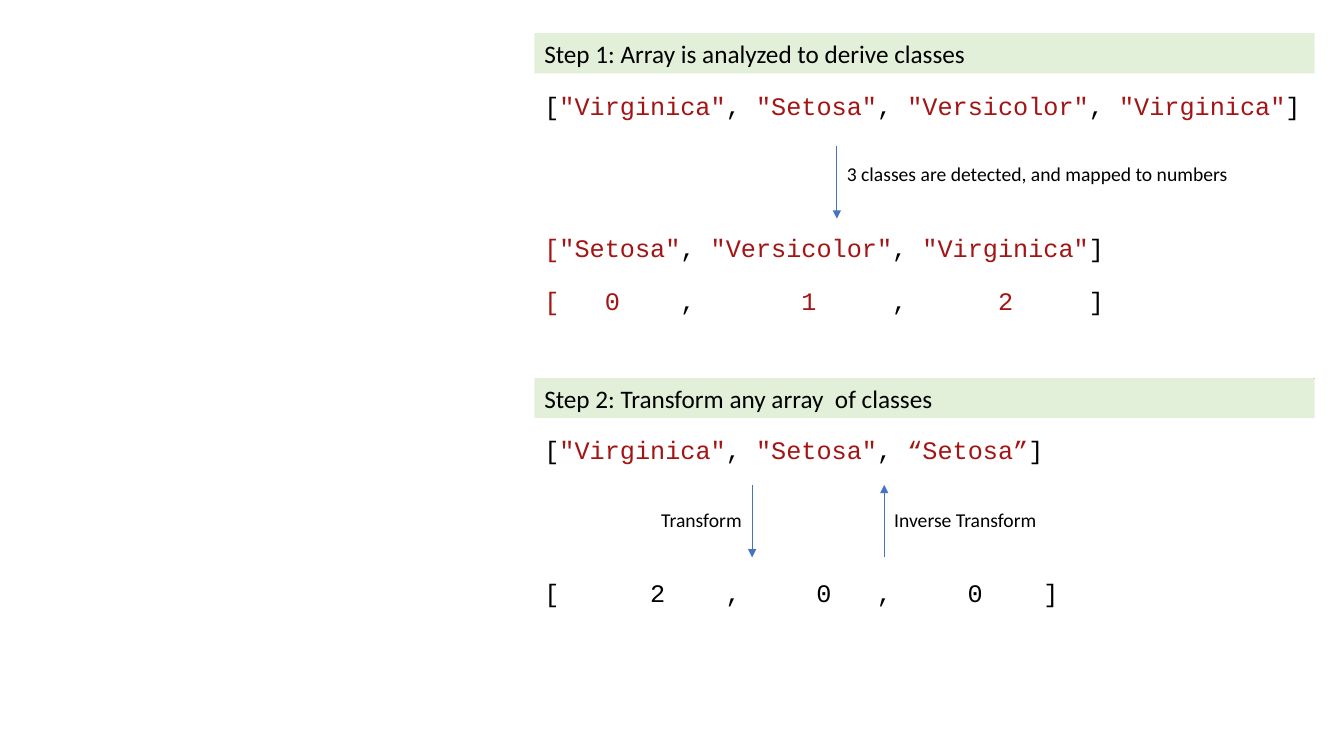
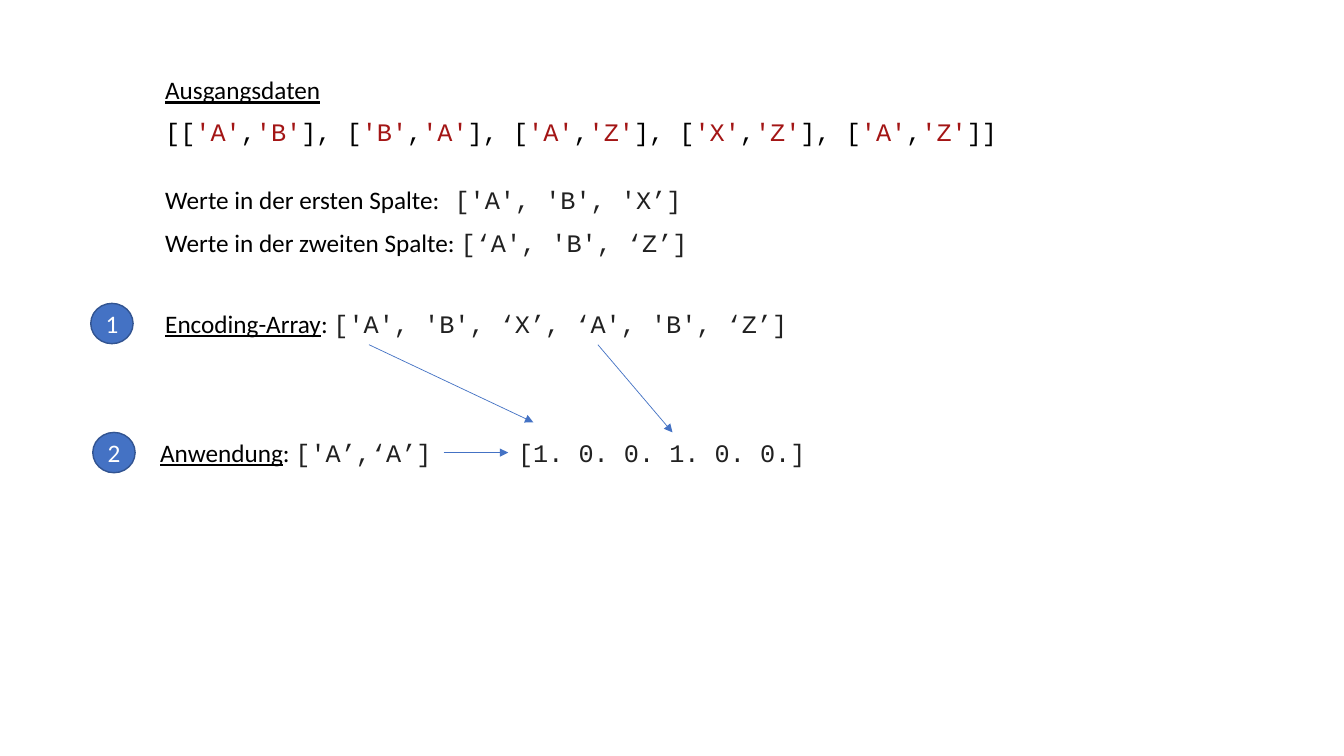
from lxml.etree import SubElement
from pptx import Presentation
from pptx.dml.color import RGBColor
from pptx.enum.shapes import MSO_CONNECTOR, MSO_SHAPE
from pptx.enum.text import MSO_ANCHOR, PP_ALIGN
from pptx.oxml.ns import qn
from pptx.util import Inches, Pt

HEX = {"black": "000000", "dark": "212121", "red": "A31515", "white": "FFFFFF",
       "band": "E2F0D9", "blue": "4472C4", "edge": "325491"}
SANS, MONO = "Calibri", "Courier New"
# Run styles: font, colour, underline
RUNS = {"plain": (SANS, "black", False), "under": (SANS, "black", True),
        "light": (SANS, "white", False), "code": (MONO, "black", False),
        "word": (MONO, "red", False), "dark": (MONO, "dark", False)}
CHAR = 0.15  # width of one code character at 18 points


def color(name):
    return RGBColor.from_string(HEX[name])


def mix(text):
    """Bars in the text switch between code and red words."""
    return [(part, ("code", "word")[i % 2])
            for i, part in enumerate(text.split("|")) if part]


def write(shape, runs, size=18, align=PP_ALIGN.LEFT, anchor=MSO_ANCHOR.TOP,
          wrap=True, tabs=()):
    """Fill a shape with styled runs; tabs are inches from the text edge."""
    frame = shape.text_frame
    frame.word_wrap, frame.vertical_anchor = wrap, anchor
    para = frame.paragraphs[0]
    para.alignment = align
    if tabs:
        stops = SubElement(para._p.get_or_add_pPr(), qn("a:tabLst"))
        for stop in tabs:
            SubElement(stops, qn("a:tab"), pos=str(Inches(stop)), algn="l")
    for words, style in runs:
        run = para.add_run()
        run.text = words
        font = run.font
        font.name, tint, font.underline = RUNS[style]
        font.size = Pt(size)
        font.color.rgb = color(tint)


class Deck:
    high = 0.4  # height of a text row

    def __init__(self):
        self.file = Presentation()
        self.file.slide_width = Inches(13.33)
        self.file.slide_height = Inches(7.5)
        self.slide = None

    def page(self):
        self.slide = self.file.slides.add_slide(self.file.slide_layouts[6])

    def text(self, x, y, wide, runs, high=high, **form):
        box = self.slide.shapes.add_textbox(
            Inches(x), Inches(y), Inches(wide), Inches(high))
        write(box, runs, wrap="tabs" in form, **form)

    def note(self, x, y, wide, words):
        self.text(x, y, wide, [(words, "plain")], high=0.34, size=14)

    def shape(self, kind, x, y, wide, fill, edge=None):
        shape = self.slide.shapes.add_shape(
            kind, Inches(x), Inches(y), Inches(wide), Inches(self.high))
        shape.shadow.inherit = False
        shape.fill.solid()
        shape.fill.fore_color.rgb = color(fill)
        if edge:
            shape.line.color.rgb = color(edge)
            shape.line.width = Pt(1)
        else:
            shape.line.fill.background()
        return shape

    def band(self, x, y, words):
        bar = self.shape(MSO_SHAPE.RECTANGLE, x, y, 7.74, "band")
        write(bar, [(words, "plain")])

    def badge(self, x, y, num):
        dot = self.shape(MSO_SHAPE.OVAL, x, y, 0.42, "blue", "edge")
        frame = dot.text_frame
        frame.margin_left = frame.margin_right = 0
        frame.margin_top = frame.margin_bottom = 0
        write(dot, [(num, "light")], align=PP_ALIGN.CENTER,
              anchor=MSO_ANCHOR.MIDDLE)

    def line(self, x1, y1, x2, y2, head=True):
        link = self.slide.shapes.add_connector(
            MSO_CONNECTOR.STRAIGHT, *map(Inches, (x1, y1, x2, y2)))
        link.line.color.rgb = color("blue")
        link.line.width = Pt(0.5)
        if head:
            SubElement(link.line._get_or_add_ln(), qn("a:tailEnd"),
                       type="triangle")
        SubElement(link._element.spPr, qn("a:effectLst"))


def cols(*places):
    return [round(place * CHAR, 2) for place in places]


deck = Deck()

# Slide 1: label encoding in two steps
deck.page()
left = 5.3
deck.band(left, 0.33, "Step 1: Array is analyzed to derive classes")
deck.text(left, 0.85, 7.74, mix(
    '[|"Virginica"|, |"Setosa"|, |"Versicolor"|, |"Virginica"|]'))
deck.line(8.3, 1.45, 8.3, 2.17)
deck.note(8.3, 1.56, 4.02, "3 classes are detected, and mapped to numbers")
deck.text(left, 2.26, 5.78, mix('|["Setosa"|, |"Versicolor"|, |"Virginica"|]'))
deck.text(left, 2.78, 5.78, mix("|[\t0|\t,\t|1|\t,\t|2|\t]"),
          tabs=cols(4, 9, 17, 23, 30, 36))

deck.line(5.41, 3.75, 13.04, 3.75, head=False)
deck.band(left, 3.75, "Step 2: Transform any array  of classes")
deck.text(left, 4.26, 5.18, mix('[|"Virginica"|, |"Setosa"|, |“Setosa”|]'))
deck.line(7.46, 4.81, 7.46, 5.53)
deck.note(6.46, 4.99, 1.01, "Transform")
deck.line(8.77, 5.53, 8.77, 4.81)
deck.note(8.77, 4.99, 1.63, "Inverse Transform")
deck.text(left, 5.68, 5.33, mix("[\t2\t,\t0\t,\t0\t]"),
          tabs=cols(7, 12, 18, 22, 28, 33))

# Slide 2: one-hot encoding
deck.page()
left = 1.54
deck.text(left, 0.69, 1.76, [("Ausgangsdaten", "under")])
pairs = ("AB", "BA", "AZ", "XZ", "AZ")
data = ", ".join(f"[|'{a}'|,|'{b}'|]" for a, b in pairs)
deck.text(left, 1.1, 8.49, mix(f"[{data}]"))
deck.text(left, 1.78, 5.39, [("Werte in der ersten Spalte:\t", "plain"),
                             ("['A', 'B', 'X’]", "dark")], tabs=[2.87])
deck.text(left, 2.21, 5.43, [("Werte in der zweiten Spalte: ", "plain"),
                             ("[‘A', 'B', ‘Z’]", "dark")])

# Numbered rows
rows = [("1", 0.9, left, 3.01, 6.41, "Encoding-Array",
         "['A', 'B', ‘X’, ‘A', 'B', ‘Z’]"),
        ("2", 0.92, 1.49, 4.29, 2.92, "Anwendung", "['A’,‘A’]")]
for num, dot, x, y, wide, name, code in rows:
    deck.badge(dot, y, num)
    deck.text(x, y, wide, [(name, "under"), (": ", "plain"), (code, "dark")])
deck.text(5.04, 4.29, 3.07, [("[1. 0. 0. 1. 0. 0.]", "dark")])

# Arrows to the result
for ends in ((4.4, 4.49, 5.04, 4.49), (3.66, 3.42, 5.29, 4.19),
             (5.93, 3.42, 6.67, 4.29)):
    deck.line(*ends)

deck.file.save("out.pptx")
